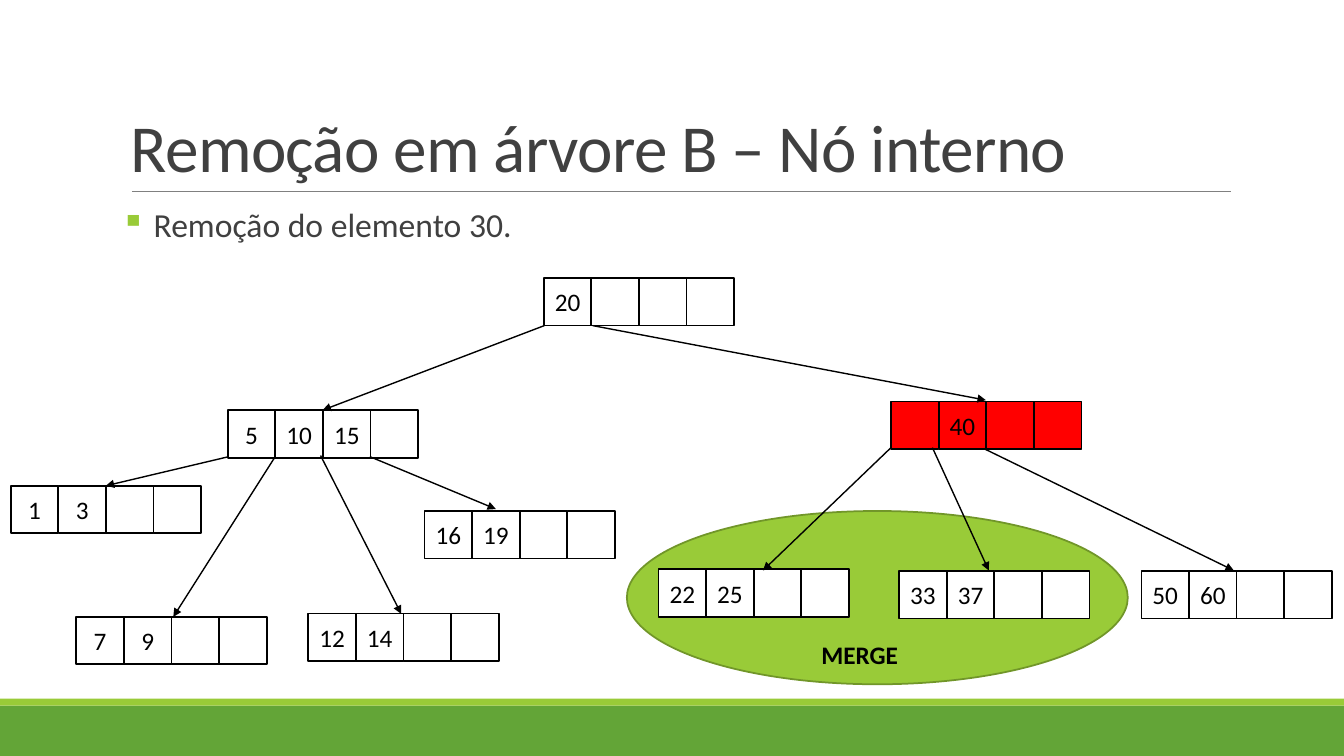
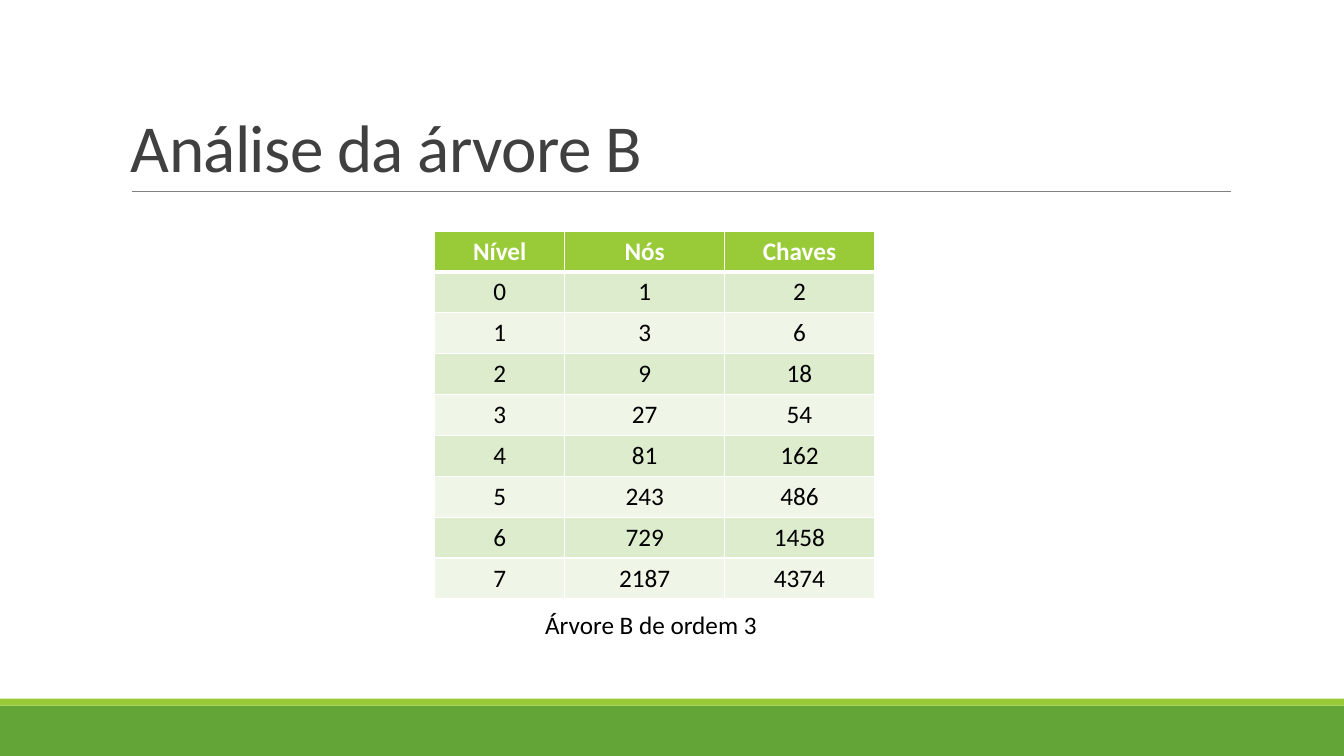
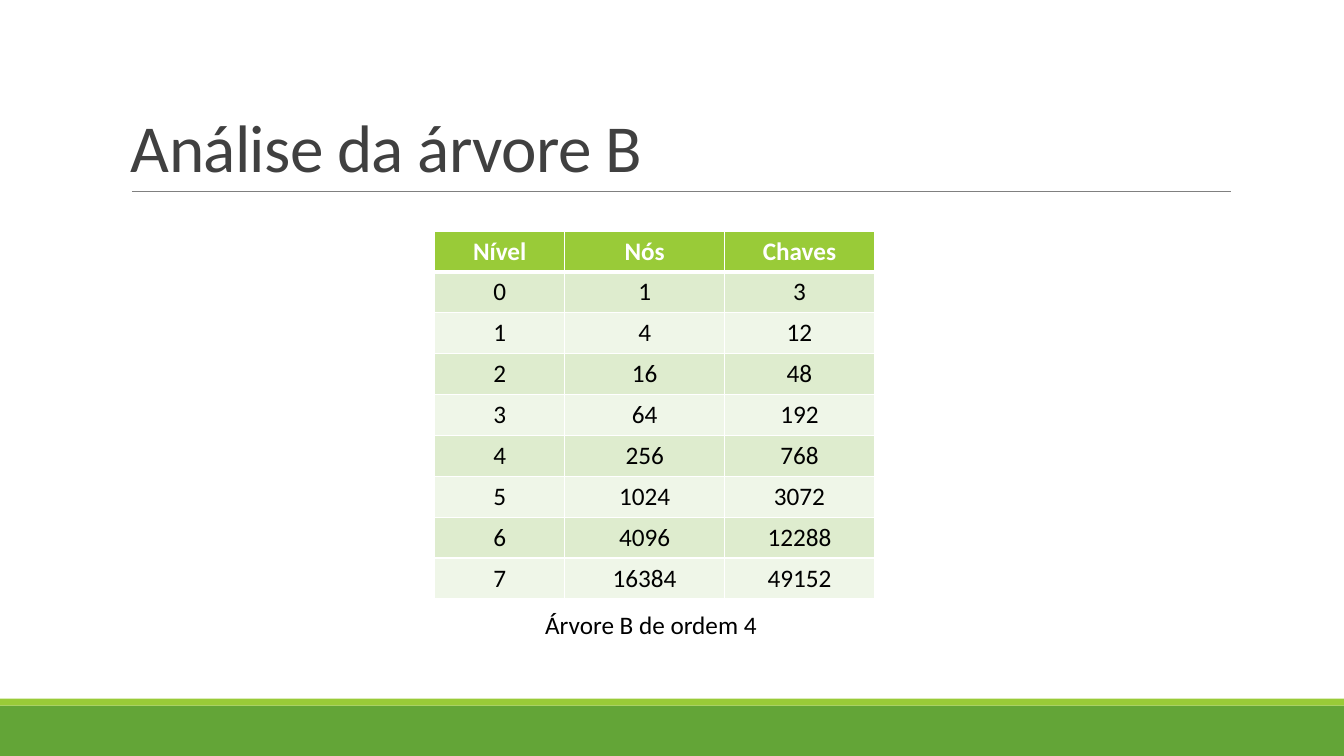
from lxml.etree import SubElement
from pptx import Presentation
from pptx.dml.color import RGBColor
from pptx.enum.shapes import MSO_CONNECTOR, MSO_SHAPE
from pptx.enum.text import MSO_ANCHOR, PP_ALIGN
from pptx.oxml.ns import qn
from pptx.util import Pt

rgb = RGBColor.from_string
FONT = "Calibri"
BLACK, WHITE, RED, GRAY, DARK = "000000", "FFFFFF", "FF0000", "808080", "404040"
LIME, GREEN, OLIVE = "99CB38", "63A537", "719629"
ROW_FILLS = ["DEECCE", "EFF6E8"]


def paint(shape, fill, line=None, width=1.25):
    shape.shadow.inherit = False
    shape.fill.solid()
    shape.fill.fore_color.rgb = rgb(fill)
    if line:
        shape.line.color.rgb = rgb(line)
        shape.line.width = Pt(width)
    else:
        shape.line.fill.background()


def write(frame, text, size=18, colour=BLACK, bold=False, align=PP_ALIGN.LEFT):
    """Fill the first paragraph with one run and return the paragraph and run."""
    para = frame.paragraphs[0]
    para.alignment = align
    span = para.add_run()
    span.text = text
    span.font.name = FONT
    span.font.size = Pt(size)
    span.font.bold = bold
    span.font.color.rgb = rgb(colour)
    return para, span


deck = Presentation()
deck.slide_width, deck.slide_height = Pt(960), Pt(540)

# Bands, rule and title on every slide
pages = []
for title in ["Remoção em árvore B – Nó interno", "Análise da árvore B", "Análise da árvore B"]:
    page = deck.slides.add_slide(deck.slide_layouts[6])
    pages.append(page)
    for top, height, fill in [(504, 36, GREEN), (499, 5, LIME)]:
        band = page.shapes.add_shape(MSO_SHAPE.RECTANGLE, 0, Pt(top), Pt(960), Pt(height))
        paint(band, fill)
    rule = page.shapes.add_connector(
        MSO_CONNECTOR.STRAIGHT, Pt(94.3), Pt(136.8), Pt(879.1), Pt(136.8))
    rule.line.color.rgb = rgb(GRAY)
    rule.line.width = Pt(0.5)
    box = page.shapes.add_textbox(Pt(86.4), Pt(22.3), Pt(792), Pt(114.5))
    box.text_frame.word_wrap = True
    box.text_frame.vertical_anchor = MSO_ANCHOR.BOTTOM
    para, span = write(box.text_frame, title, 48, DARK)
    para.line_spacing = 0.85
    span.font._element.set("spc", "-50")

# Slide 1: removal from the tree
tree_page = pages[0]
merge_area = tree_page.shapes.add_shape(
    MSO_SHAPE.OVAL, Pt(447.8), Pt(365), Pt(357.8), Pt(123.8))
paint(merge_area, LIME, OLIVE)

box = tree_page.shapes.add_textbox(Pt(86.4), Pt(145.4), Pt(792), Pt(40))
box.text_frame.word_wrap = True
box.text_frame.margin_left = box.text_frame.margin_right = 0
bullet_props = box.text_frame.paragraphs[0]._p.get_or_add_pPr()
bullet_props.set("marL", str(Pt(7.2)))
bullet_props.set("indent", str(-Pt(7.2)))
bullet_colour = SubElement(bullet_props, qn("a:buClr"))
SubElement(bullet_colour, qn("a:srgbClr"), val=LIME)
SubElement(bullet_props, qn("a:buChar"), char="▪")
para, span = write(box.text_frame, " Remoção do elemento 30.", 24, DARK)
para.line_spacing = 0.9
para.space_after = Pt(2)

CELL = 34
nodes = [
    (388.4, 198.6, WHITE, ["20", "", "", ""]),
    (162.7, 293, WHITE, ["5", "10", "15", ""]),
    (636.5, 286.7, RED, ["", "40", "", ""]),
    (7.7, 347, WHITE, ["1", "3", "", ""]),
    (54.5, 440.5, WHITE, ["7", "9", "", ""]),
    (220.2, 438.3, WHITE, ["12", "14", "", ""]),
    (303.3, 365, WHITE, ["16", "19", "", ""]),
    (470.4, 406.6, WHITE, ["22", "25", "", ""]),
    (642.3, 407.8, WHITE, ["33", "37", "", ""]),
    (815.3, 407.8, WHITE, ["50", "60", "", ""]),
]
for left, top, fill, keys in nodes:
    node = tree_page.shapes.add_group_shape()
    for position, key in enumerate(keys):
        cell = node.shapes.add_shape(
            MSO_SHAPE.RECTANGLE, Pt(left + position * CELL), Pt(top), Pt(CELL), Pt(CELL))
        paint(cell, fill, BLACK)
        if key:
            cell.text_frame.margin_left = cell.text_frame.margin_right = 0
            cell.text_frame.vertical_anchor = MSO_ANCHOR.MIDDLE
            write(cell.text_frame, key, align=PP_ALIGN.CENTER)

arrows = [
    (388.8, 232.6, 230.4, 293),
    (423.4, 232.6, 704.2, 285.8),
    (636.5, 319.7, 545, 407.5),
    (666, 319.7, 706.3, 407.5),
    (702.7, 320.4, 881.3, 407.5),
    (163.4, 326.2, 75.6, 347),
    (196.6, 326.2, 123.8, 440.6),
    (229, 325.4, 286.6, 438.5),
    (264.2, 326.2, 354.2, 363.6),
]
for ends in arrows:
    arrow = tree_page.shapes.add_connector(MSO_CONNECTOR.STRAIGHT, *map(Pt, ends))
    arrow.line.color.rgb = rgb(BLACK)
    arrow.line.width = Pt(1)
    SubElement(arrow._element.spPr.find(qn("a:ln")), qn("a:tailEnd"), type="triangle")

box = tree_page.shapes.add_textbox(Pt(579.6), Pt(452.9), Pt(69.8), Pt(28.8))
box.text_frame.word_wrap = False
write(box.text_frame, "MERGE", bold=True)

# Slides 2 and 3: nodes and keys per level for each order
ROW_HEIGHT = 29.2
COLUMN_WIDTHS = [92.7, 114.4, 106.8]
for page, order in zip(pages[1:], [3, 4]):
    rows = [["Nível", "Nós", "Chaves"]]
    for level in range(8):
        rows.append([level, order ** level, order ** level * (order - 1)])
    table = page.shapes.add_table(
        len(rows), 3, Pt(310.6), Pt(165), Pt(sum(COLUMN_WIDTHS)),
        Pt(ROW_HEIGHT * len(rows))).table
    for column, width in zip(table.columns, COLUMN_WIDTHS):
        column.width = Pt(width)
    for row_number, values in enumerate(rows):
        table.rows[row_number].height = Pt(ROW_HEIGHT)
        header = row_number == 0
        borders = {"lnL": 1, "lnR": 1, "lnT": 3 if row_number == 1 else 1,
                   "lnB": 3 if header else 1}
        for column_number, value in enumerate(values):
            cell = table.cell(row_number, column_number)
            for side, width in borders.items():
                border = SubElement(
                    cell._tc.get_or_add_tcPr(), qn(f"a:{side}"), w=str(Pt(width)))
                border_fill = SubElement(border, qn("a:solidFill"))
                SubElement(border_fill, qn("a:srgbClr"), val=WHITE)
            cell.fill.solid()
            cell.fill.fore_color.rgb = rgb(LIME if header else ROW_FILLS[(row_number - 1) % 2])
            write(cell.text_frame, str(value), colour=WHITE if header else BLACK,
                  bold=header, align=PP_ALIGN.CENTER)
    caption = page.shapes.add_textbox(Pt(382.3), Pt(432), Pt(167.8), Pt(28.8))
    caption.text_frame.word_wrap = False
    write(caption.text_frame, f"Árvore B de ordem {order}")

# Lines carry no shadow
for page in pages:
    for line in page.element.iter(qn("p:cxnSp")):
        SubElement(line.spPr, qn("a:effectLst"))

deck.save("out.pptx")
